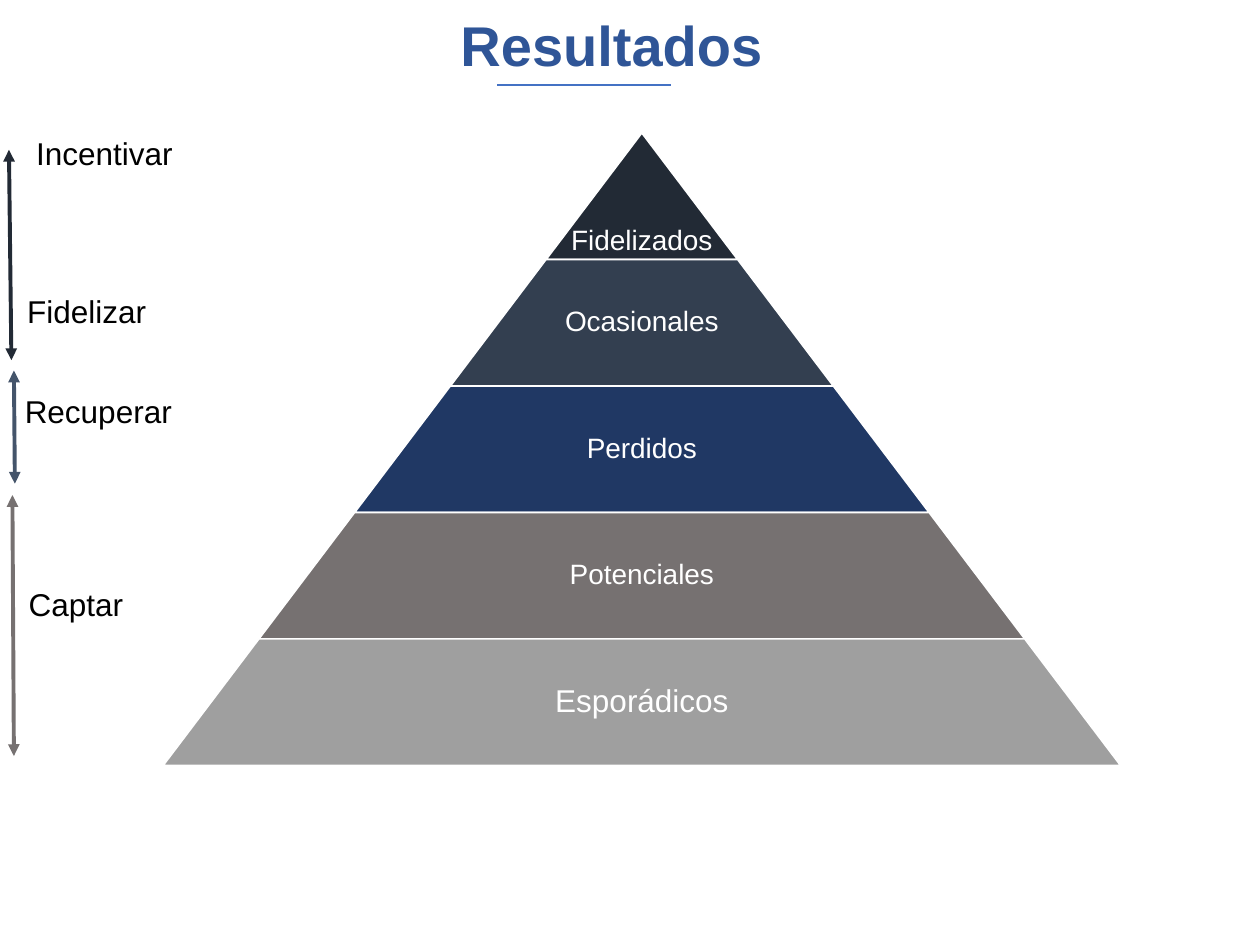
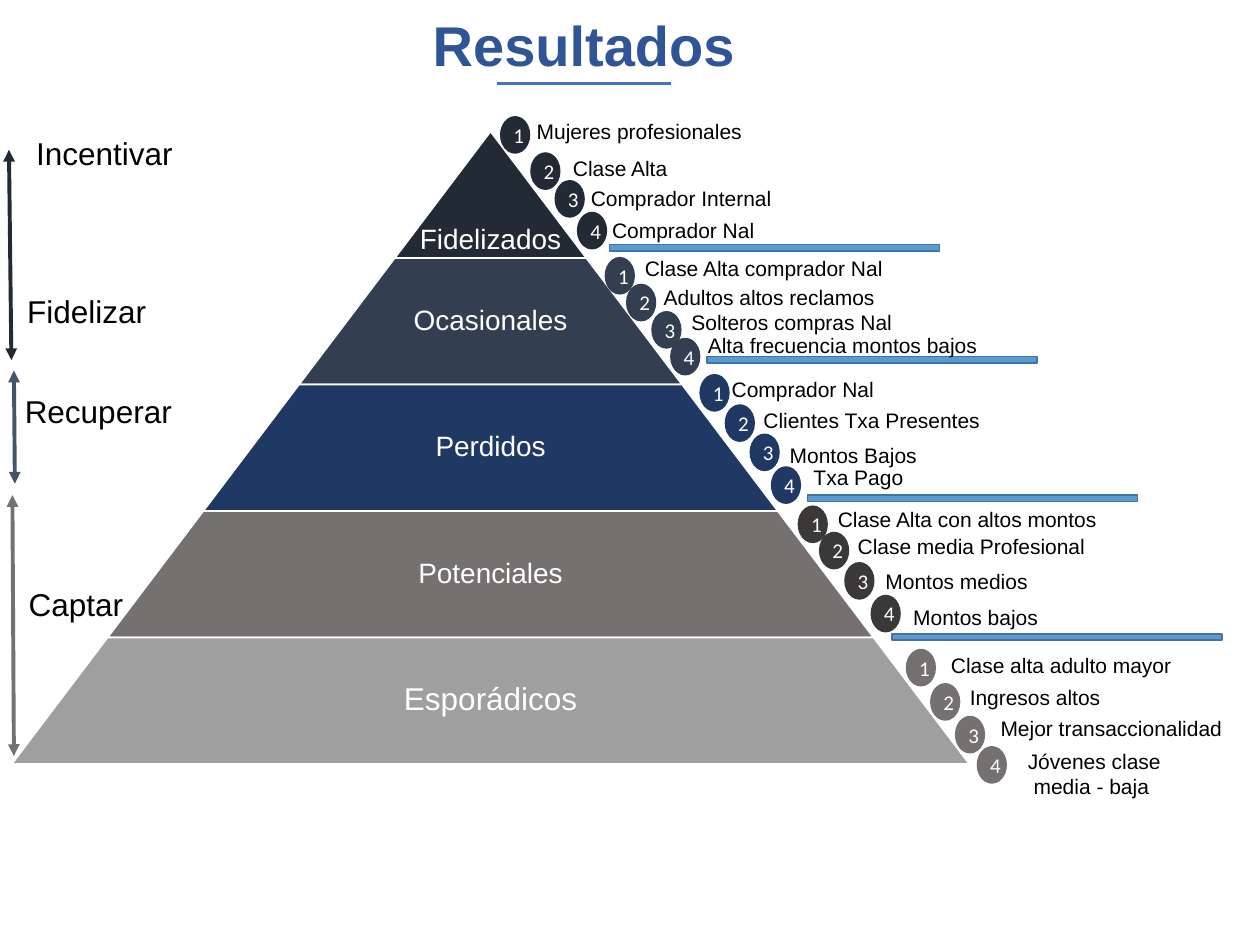
from dataclasses import dataclass

from lxml.etree import SubElement
from pptx import Presentation
from pptx.dml.color import RGBColor
from pptx.enum.shapes import MSO_CONNECTOR, MSO_SHAPE as Preset
from pptx.enum.text import MSO_ANCHOR as Anchor, MSO_AUTO_SIZE as AutoSize, PP_ALIGN as Align
from pptx.oxml.ns import qn
from pptx.shapes.autoshape import Shape
from pptx.shapes.connector import Connector
from pptx.slide import Slide
from pptx.util import Cm, Pt

WHITE, BLACK = "FFFFFF", "000000"
TITLE_BLUE, RULE_BLUE = "2F5597", "4472C4"
BAR_FILL, BAR_LINE = "5B9BD5", "43739E"
NIGHT, SLATE, NAVY, STEEL = "222A35", "333F50", "203864", "44546A"
GRAY, LIGHT_GRAY, CHARCOAL = "767171", "9F9F9F", "3B3838"

TIER_HEIGHT, TIER_SPREAD = 2.55, 3.86
MARKER_WIDTH, MARKER_HEIGHT = 0.61, 0.76
BAR_WIDTH, BAR_HEIGHT = 6.65, 0.13


@dataclass(frozen=True)
class Style:
    size: float
    color: str = BLACK
    font: str = "Arial"
    bold: bool = False
    align: Align = Align.LEFT
    line_spacing: float | None = None


@dataclass(frozen=True)
class Tier:
    name: str
    color: str
    size: int = 16
    anchor: Anchor = Anchor.MIDDLE
    text_share: float = 0.65
    inset: float = 0.05


@dataclass(frozen=True)
class Label:
    text: str
    left: float
    top: float
    width: float
    wrap: bool = True


@dataclass(frozen=True)
class Span:
    color: str
    start: tuple[float, float]
    end: tuple[float, float]


@dataclass(frozen=True)
class Segment:
    color: str
    markers: list[tuple[float, float]]
    notes: list[Label]
    bar: tuple[float, float] | None = None


TITLE_STYLE = Style(32, TITLE_BLUE, bold=True, align=Align.CENTER)
ACTION_STYLE = Style(18)
NOTE_STYLE = Style(12)
MARKER_STYLE = Style(12, WHITE, "Calibri", align=Align.CENTER)

TIERS = [
    Tier("Fidelizados", NIGHT, anchor=Anchor.BOTTOM, text_share=1),
    Tier("Ocasionales", SLATE),
    Tier("Perdidos", NAVY),
    Tier("Potenciales", GRAY),
    Tier("Esporádicos", LIGHT_GRAY, size=18, inset=0.08),
]
ACTIONS = [
    Label("Incentivar", 0.48, 2.57, 3.76),
    Label("Fidelizar", 0.3, 5.77, 4.11),
    Label("Recuperar", 0.25, 7.77, 4.98),
    Label("Captar", 0.33, 11.66, 4.98),
]
ACTION_SPANS = [
    Span(NIGHT, (0.18, 3.02), (0.23, 7.26)),
    Span(STEEL, (0.28, 7.47), (0.3, 9.75)),
    Span(GRAY, (0.25, 9.98), (0.28, 15.24)),
]
SEGMENTS = [
    Segment(
        NIGHT,
        [(10.08, 2.34), (10.69, 3.07), (11.18, 3.63), (11.63, 4.27)],
        [
            Label("Mujeres profesionales", 10.57, 2.26, 6.55),
            Label("Clase Alta", 11.3, 3.02, 6.55),
            Label("Comprador Internal", 11.66, 3.61, 6.55),
            Label("Comprador Nal", 12.09, 4.27, 6.55),
        ],
        bar=(12.29, 4.93),
    ),
    Segment(
        SLATE,
        [(12.19, 5.18), (12.62, 5.72), (13.13, 6.27), (13.51, 6.81)],
        [
            Label("Clase Alta comprador Nal", 12.75, 5.03, 6.55),
            Label("Adultos altos reclamos", 13.13, 5.61, 6.55),
            Label("Solteros compras Nal", 13.69, 6.12, 6.55),
            Label("Alta frecuencia montos bajos", 14.02, 6.58, 6.55),
        ],
        bar=(14.25, 7.19),
    ),
    Segment(
        NAVY,
        [(14.1, 7.54), (14.61, 8.15), (15.11, 8.74), (15.54, 9.4)],
        [
            Label("Comprador Nal", 14.5, 7.47, 4.65),
            Label("Clientes Txa Presentes", 15.14, 8.1, 5.26),
            Label("Montos Bajos", 15.67, 8.79, 5.26),
            Label("Txa Pago", 16.15, 9.25, 3.43),
        ],
        bar=(16.28, 9.98),
    ),
    Segment(
        CHARCOAL,
        [(16.08, 10.19), (16.51, 10.72), (17.02, 11.33), (17.55, 11.99)],
        [
            Label("Clase Alta con altos montos", 16.64, 10.08, 6.53),
            Label("Clase media Profesional", 17.04, 10.64, 6.53),
            Label("Montos medios", 17.6, 11.33, 6.53),
            Label("Montos bajos", 18.16, 12.07, 3.05, wrap=False),
        ],
        bar=(17.98, 12.78),
    ),
    Segment(
        GRAY,
        [(18.26, 13.08), (18.75, 13.77), (19.25, 14.43), (19.69, 15.04)],
        [
            Label("Clase alta adulto mayor", 18.92, 13.03, 6.55),
            Label("Ingresos altos", 19.3, 13.67, 3.18, wrap=False),
            Label("Mejor transaccionalidad", 19.92, 14.3, 5.28),
            Label("Jóvenes clase\n media - baja", 20.47, 14.96, 3.58),
        ],
    ),
]


def rgb(color: str) -> RGBColor:
    return RGBColor.from_string(color)


def write(shape: Shape, text: str, style: Style) -> None:
    shape.text_frame.text = text
    for para in shape.text_frame.paragraphs:
        para.alignment = style.align
        para.line_spacing = style.line_spacing
        para.font.name = style.font
        para.font.size = Pt(style.size)
        para.font.bold = style.bold
        para.font.color.rgb = rgb(style.color)


def add_label(slide: Slide, label: Label, style: Style, height: float) -> Shape:
    box = slide.shapes.add_textbox(Cm(label.left), Cm(label.top), Cm(label.width), Cm(height))
    write(box, label.text, style)
    box.text_frame.word_wrap = label.wrap
    box.text_frame.auto_size = AutoSize.SHAPE_TO_FIT_TEXT
    return box


def add_filled(slide: Slide, preset: Preset, left: float, top: float, width: float,
               height: float, fill: str, line: str | None = None) -> Shape:
    shape = slide.shapes.add_shape(preset, Cm(left), Cm(top), Cm(width), Cm(height))
    shape.shadow.inherit = False
    shape.fill.solid()
    shape.fill.fore_color.rgb = rgb(fill)
    if line:
        shape.line.color.rgb = rgb(line)
        shape.line.width = Pt(1)
    else:
        shape.line.fill.background()
    return shape


def add_line(slide: Slide, span: Span, width: float) -> Connector:
    points = [Cm(value) for value in (*span.start, *span.end)]
    line = slide.shapes.add_connector(MSO_CONNECTOR.STRAIGHT, *points)
    line.line.color.rgb = rgb(span.color)
    line.line.width = Pt(width)
    SubElement(line.element.spPr, qn("a:effectLst"))
    return line


def add_double_arrow(slide: Slide, span: Span) -> None:
    outline = add_line(slide, span, 2.25).element.spPr.find(qn("a:ln"))
    for end in ("a:headEnd", "a:tailEnd"):
        SubElement(outline, qn(end), type="triangle")


def add_title(slide: Slide, left: float, rule_top: float) -> None:
    add_label(slide, Label("Resultados", left, 0.08, 21.82), TITLE_STYLE, 1.63)
    add_line(slide, Span(RULE_BLUE, (10.02, rule_top), (13.53, rule_top)), 1.5)


def add_pyramid(slide: Slide, center: float, apex: float) -> None:
    """Stack the tiers downwards, each wider than the last by one spread."""
    for index, tier in enumerate(TIERS):
        top = apex + index * TIER_HEIGHT
        width = (index + 1) * TIER_SPREAD
        block = add_filled(slide, Preset.TRAPEZOID, center - width / 2, top, width,
                           TIER_HEIGHT, tier.color, WHITE)
        block.adjustments[0] = TIER_SPREAD / 2 / TIER_HEIGHT

        text_width = width * tier.text_share
        label = Label(tier.name, center - text_width / 2, top, text_width)
        style = Style(tier.size, WHITE, align=Align.CENTER, line_spacing=0.9)
        box = add_label(slide, label, style, TIER_HEIGHT)
        frame = box.text_frame
        frame.auto_size = AutoSize.NONE
        frame.vertical_anchor = tier.anchor
        frame.margin_left = frame.margin_right = Cm(tier.inset)
        frame.margin_top = frame.margin_bottom = Cm(tier.inset)


def add_actions(slide: Slide) -> None:
    for span in ACTION_SPANS:
        add_double_arrow(slide, span)
    for action in ACTIONS:
        add_label(slide, action, ACTION_STYLE, 1.02)


def add_segment(slide: Slide, segment: Segment) -> None:
    """Draw the numbered markers, their notes and the closing bar."""
    if segment.bar:
        add_filled(slide, Preset.RECTANGLE, *segment.bar, BAR_WIDTH, BAR_HEIGHT,
                   BAR_FILL, BAR_LINE)
    for number, (left, top) in enumerate(segment.markers, start=1):
        marker = add_filled(slide, Preset.OVAL, left, top, MARKER_WIDTH, MARKER_HEIGHT,
                            segment.color)
        write(marker, str(number), MARKER_STYLE)
        marker.text_frame.vertical_anchor = Anchor.MIDDLE
    for note in segment.notes:
        add_label(slide, note, NOTE_STYLE, 0.76)


def main() -> None:
    deck = Presentation()
    deck.slide_width, deck.slide_height = Cm(25.4), Cm(19.05)
    blank = deck.slide_layouts[6]

    overview = deck.slides.add_slide(blank)
    add_pyramid(overview, center=12.94, apex=2.68)
    add_actions(overview)
    add_title(overview, left=1.42, rule_top=1.71)

    detail = deck.slides.add_slide(blank)
    add_pyramid(detail, center=9.89, apex=2.65)
    add_actions(detail)
    add_title(detail, left=0.86, rule_top=1.68)
    for segment in SEGMENTS:
        add_segment(detail, segment)

    deck.save("out.pptx")


if __name__ == "__main__":
    main()
